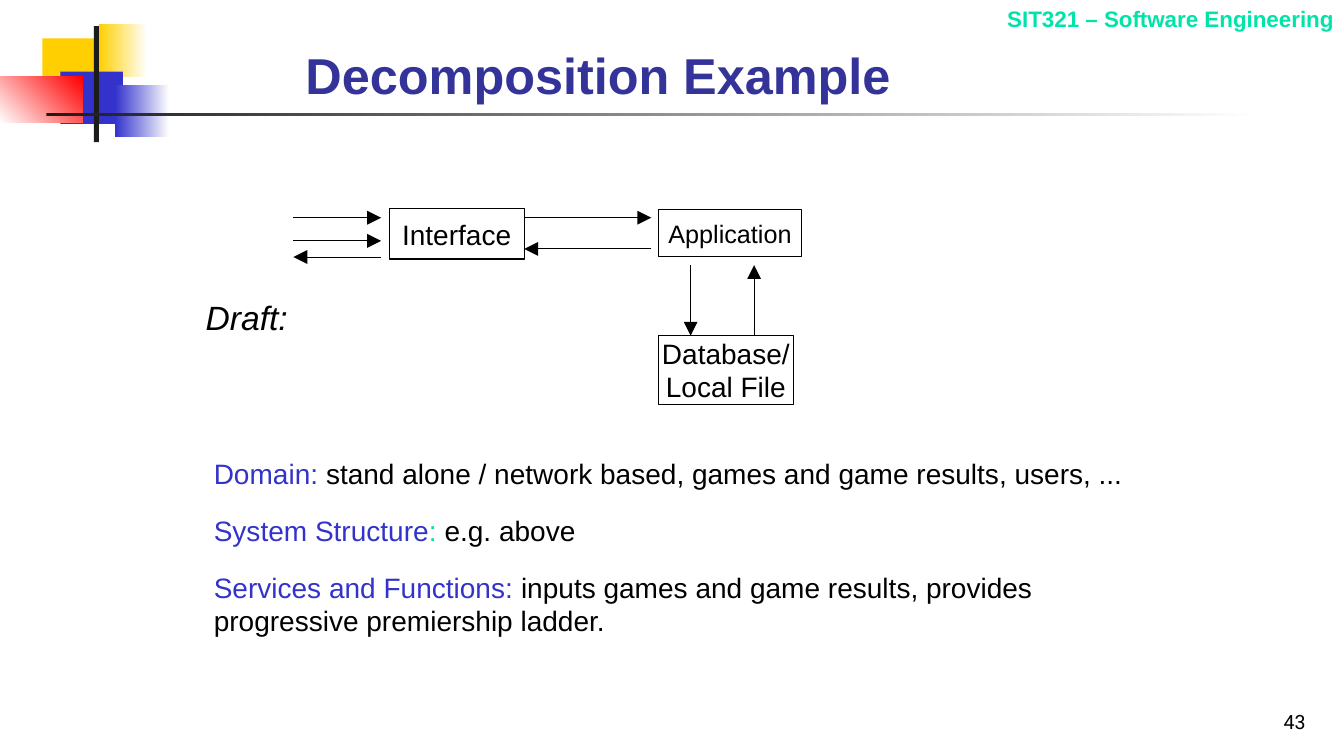
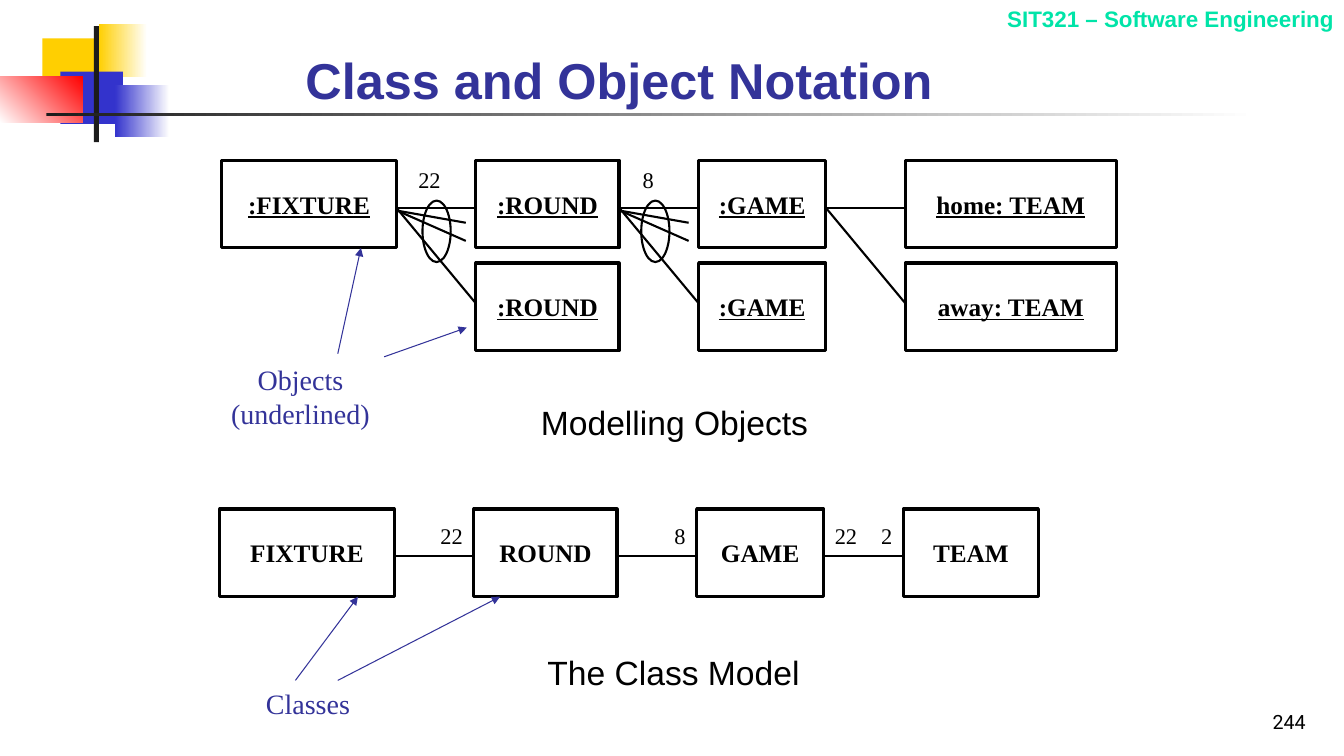
from dataclasses import dataclass
from itertools import accumulate

from lxml import etree
from pptx import Presentation
from pptx import util as u
from pptx.dml.color import RGBColor
from pptx.enum import shapes, text
from pptx.oxml import ns


@dataclass(frozen=True)
class Theme:
    width: float = 13.33
    height: float = 7.5
    sans: str = "Arial"
    serif: str = "Times New Roman"
    number_font: str = "Roboto"
    black: str = "000000"
    white: str = "FFFFFF"
    charcoal: str = "1C1C1C"
    yellow: str = "FFCF01"
    blue: str = "3333CC"
    navy: str = "333399"
    red: str = "FF0000"
    mint: str = "00E4A8"
    title: int = 36
    caption: int = 24
    body: int = 20
    label: int = 18
    small: int = 16
    number: int = 14
    hairline: float = 0.75
    link: float = 1.5
    frame: float = 2.25


T = Theme()
ALIGN = text.PP_ALIGN
ANCHOR = text.MSO_ANCHOR
RECT = shapes.MSO_SHAPE.RECTANGLE
OVAL = shapes.MSO_SHAPE.OVAL
CLASS_WIDTHS = (1.73, 1.42, 1.26)
CLASS_GAP = 0.79
CLASS_HEIGHT = 0.87
LINK_Y = 0.47


def assign(target, **formats):
    for name, value in formats.items():
        setattr(target, name, value)


def rgb(value):
    return RGBColor.from_string(value)


def inches(*values):
    return [u.Inches(value) for value in values]


def set_frame(frame, anchor=ANCHOR.TOP):
    assign(frame, word_wrap=True, auto_size=text.MSO_AUTO_SIZE.NONE,
           vertical_anchor=anchor, margin_left=0, margin_right=0,
           margin_top=0, margin_bottom=0)


def write(paragraph, runs, size, align=ALIGN.LEFT, font=T.sans, **formats):
    paragraph.alignment = align
    for words, color in runs:
        run = paragraph.add_run()
        run.text = words
        assign(run.font, name=font, size=u.Pt(size), **formats)
        run.font.color.rgb = rgb(color)


def add_label(slide, box, words, size, color=T.black, **formats):
    frame = slide.shapes.add_textbox(*inches(*box)).text_frame
    set_frame(frame)
    write(frame.paragraphs[0], [(words, color)], size, **formats)


def add_outline(slide, box, weight, kind=RECT):
    outline = slide.shapes.add_shape(kind, *inches(*box))
    outline.shadow.inherit = False
    outline.fill.background()
    outline.line.color.rgb = rgb(T.black)
    outline.line.width = u.Pt(weight)
    return outline


def add_node(slide, box, words, weight, size, **formats):
    frame = add_outline(slide, box, weight).text_frame
    set_frame(frame, ANCHOR.MIDDLE)
    write(frame.paragraphs[0], [(words, T.black)], size, ALIGN.CENTER, **formats)


def add_line(slide, start, end, weight=T.link, color=T.black, arrow=None):
    line = slide.shapes.add_connector(shapes.MSO_CONNECTOR.STRAIGHT,
                                      *inches(*start, *end))
    line.line.color.rgb = rgb(color)
    line.line.width = u.Pt(weight)
    if arrow:
        etree.SubElement(line.line._get_or_add_ln(), ns.qn("a:tailEnd"),
                         type="triangle", w=arrow, len=arrow)
    etree.SubElement(line._element.spPr, ns.qn("a:effectLst"))


def add_band(slide, box, colors, angle=0):
    band = slide.shapes.add_shape(RECT, *inches(*box))
    band.shadow.inherit = False
    band.line.fill.background()
    if len(colors) == 1:
        band.fill.solid()
        band.fill.fore_color.rgb = rgb(colors[0])
        return
    band.fill.gradient()
    band.fill.gradient_angle = angle
    for stop, position, color in zip(band.fill.gradient_stops, (0, 1), colors):
        stop.position = position
        stop.color.rgb = rgb(color)


def dress_master(prs, slide):
    kept = len(slide.shapes)
    for band in (
        ((0.42, 0.38, 0.64, 0.52), (T.yellow,)),
        ((0.98, 0.24, 0.48, 0.52), (T.yellow, T.white)),
        ((0.6, 0.71, 0.62, 0.52), (T.blue,)),
        ((1.14, 0.84, 0.54, 0.52), (T.blue, T.white)),
        ((0, 0.76, 0.82, 0.46), (T.white, T.red), 45),
        ((0.93, 0.26, 0.05, 1.15), (T.charcoal,)),
        ((0.46, 1.12, 12, 0.03), (T.charcoal, T.white)),
    ):
        add_band(slide, *band)
    add_label(slide, (T.width - 5.3, 0.05, 5.2, 0.27),
              "SIT321 – Software Engineering", T.small, T.mint,
              align=ALIGN.RIGHT, bold=True)
    for number, part in enumerate(list(slide.shapes)[kept:], 100):
        part._element.nvSpPr.cNvPr.set("id", str(number))
        prs.slide_master.shapes._spTree.append(part._element)


def add_page(prs, layout, heading, title_height, number):
    slide = prs.slides.add_slide(prs.slide_layouts[layout])
    title = slide.shapes.title
    left, top, width, height = inches(3.03, 0.23, 8.32, title_height)
    assign(title, left=left, top=top, width=width, height=height)
    set_frame(title.text_frame, ANCHOR.BOTTOM)
    write(title.text_frame.paragraphs[0], [(heading, T.navy)], T.title, bold=True)
    add_label(slide, (T.width - 2.96, T.height - 0.46, 2.58, 0.25), number,
              T.number, align=ALIGN.RIGHT, font=T.number_font)
    return slide


def draw_structure(slide, left, top):
    for x, y, width, height, words, size in (
        (0.95, 0, 1.34, 0.5, "Interface", T.body),
        (3.62, 0.01, 1.42, 0.47, "Application", T.label),
        (3.62, 1.26, 1.34, 0.68, "Database/Local File", T.body),
    ):
        add_node(slide, (left + x, top + y, width, height), words, T.hairline, size)
    for x1, y1, x2, y2 in (
        (0, 0.09, 0.87, 0.09), (0, 0.32, 0.87, 0.32), (0.87, 0.48, 0, 0.48),
        (2.29, 0.09, 3.55, 0.09), (3.55, 0.4, 2.29, 0.4),
        (3.94, 0.56, 3.94, 1.26), (4.57, 1.26, 4.57, 0.56),
    ):
        add_line(slide, (left + x1, top + y1), (left + x2, top + y2),
                 T.hairline, arrow="lg")


def fill_definitions(slide, box, entries):
    body = slide.placeholders[1]
    for name, value in zip(("left", "top", "width", "height"), inches(*box)):
        setattr(body, name, value)
    frame = body.text_frame
    set_frame(frame)
    for index, runs in enumerate(entries):
        paragraph = frame.add_paragraph() if index else frame.paragraphs[0]
        properties = paragraph._p.get_or_add_pPr()
        for name in ("marL", "indent"):
            properties.set(name, "0")
        etree.SubElement(properties, ns.qn("a:buNone"))
        paragraph.space_before = u.Pt(16.5 if index else 0)
        write(paragraph, runs, T.body)


def class_columns(left, last_width):
    widths = (*CLASS_WIDTHS, last_width)
    starts = accumulate(CLASS_WIDTHS, lambda x, width: x + width + CLASS_GAP,
                        initial=left)
    return list(zip(starts, widths))


def draw_class_row(slide, columns, top, names, **formats):
    for (x, width), name in zip(columns, names):
        if name:
            add_node(slide, (x, top, width, CLASS_HEIGHT), name, T.frame, T.label,
                     font=T.serif, bold=True, **formats)
    for x, width in columns[:-1]:
        if names[0]:
            add_line(slide, (x + width, top + LINK_Y),
                     (x + width + CLASS_GAP, top + LINK_Y))


def draw_fan(slide, x, top, count, ring):
    for y in (0.62, 0.8):
        add_line(slide, (x + 0.01, top + 0.5), (x + 0.69, top + y))
    add_outline(slide, (x + ring - 0.14, top + 0.4, 0.28, 0.61), T.link, OVAL)
    add_label(slide, (x + ring - 0.32, top + 0.06, 0.5, 0.27), count, T.small,
              align=ALIGN.CENTER, font=T.serif)


def draw_callout(slide, box, words, arrows):
    add_label(slide, box, words, T.body, T.navy, align=ALIGN.CENTER, font=T.serif)
    for start, end in arrows:
        add_line(slide, start, end, T.hairline, T.navy, "med")


def draw_objects(slide, left, top):
    columns = class_columns(left, 2.09)
    draw_class_row(slide, columns, top,
                   (":FIXTURE", ":ROUND", ":GAME", "home: TEAM"), underline=True)
    draw_class_row(slide, columns, top + 1.02,
                   ("", ":ROUND", ":GAME", "away: TEAM"), underline=True)
    edges = [x + width for x, width in columns[:-1]]
    for edge in edges:
        add_line(slide, (edge, top + LINK_Y), (edge + CLASS_GAP, top + 1.42))
    for edge, count, ring in zip(edges, ("22", "8"), (0.4, 0.36)):
        draw_fan(slide, edge, top, count, ring)
    draw_callout(slide, (left, top + 2.01, 1.56, 0.68), "Objects (underlined)", (
        ((left + 1.61, top + 1.95), (left + 2.43, top + 1.66)),
        ((left + 1.15, top + 1.92), (left + 1.38, top + CLASS_HEIGHT)),
    ))
    add_label(slide, (left + 2.99, top + 2.4, 3, 0.4), "Modelling Objects",
              T.caption, align=ALIGN.CENTER)


def draw_classes(slide, left, top):
    columns = class_columns(left, 1.34)
    draw_class_row(slide, columns, top, ("FIXTURE", "ROUND", "GAME", "TEAM"))
    edges = [x + width for x, width in columns[:-1]]
    ends = [(edge, count, ALIGN.RIGHT) for edge, count in zip(edges, ("22", "8", "2"))]
    for edge, count, align in ends + [(edges[-1], "22", ALIGN.LEFT)]:
        add_label(slide, (edge + 0.11, top + 0.13, CLASS_GAP - 0.22, 0.27), count,
                  T.small, align=align, font=T.serif)
    draw_callout(slide, (left + 0.35, top + 1.76, 1.05, 0.33), "Classes", (
        ((left + 1.17, top + 1.7), (left + 2.78, top + CLASS_HEIGHT)),
        ((left + 0.75, top + 1.7), (left + 1.37, top + CLASS_HEIGHT)),
    ))
    add_label(slide, (left + 3, top + 1.42, 3, 0.4), "The Class Model",
              T.caption, align=ALIGN.CENTER)


def main():
    prs = Presentation()
    prs.slide_width, prs.slide_height = inches(T.width, T.height)

    decomposition = add_page(prs, 1, "Decomposition Example", 0.81, "43")
    dress_master(prs, decomposition)
    draw_structure(decomposition, 2.91, 2.07)
    add_label(decomposition, (2.04, 2.95, 1, 0.4), "Draft:", T.caption, italic=True)
    fill_definitions(decomposition, (2.12, 4.53, 9.3, 1.8), (
        (("Domain:", T.blue),
         (" stand alone / network based, games and game results, users, ...", T.black)),
        (("System Structure", T.blue), (":", T.mint), (" e.g. above", T.black)),
        (("Services and Functions:", T.blue),
         (" inputs games and game results, provides progressive premiership ladder.",
          T.black)),
    ))

    notation = add_page(prs, 5, "Class and Object Notation", 0.86, "244")
    draw_objects(notation, 2.2, 1.59)
    draw_classes(notation, 2.18, 5.05)

    prs.save("out.pptx")


if __name__ == "__main__":
    main()
